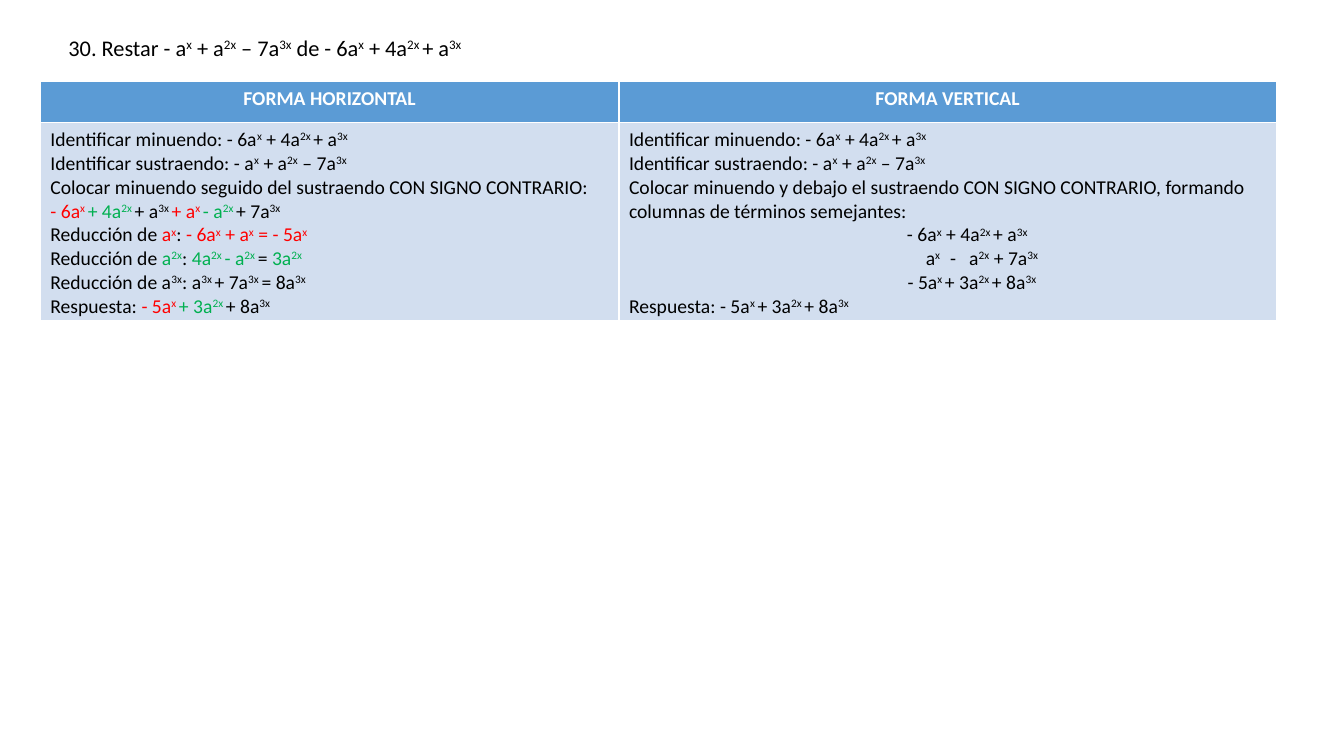
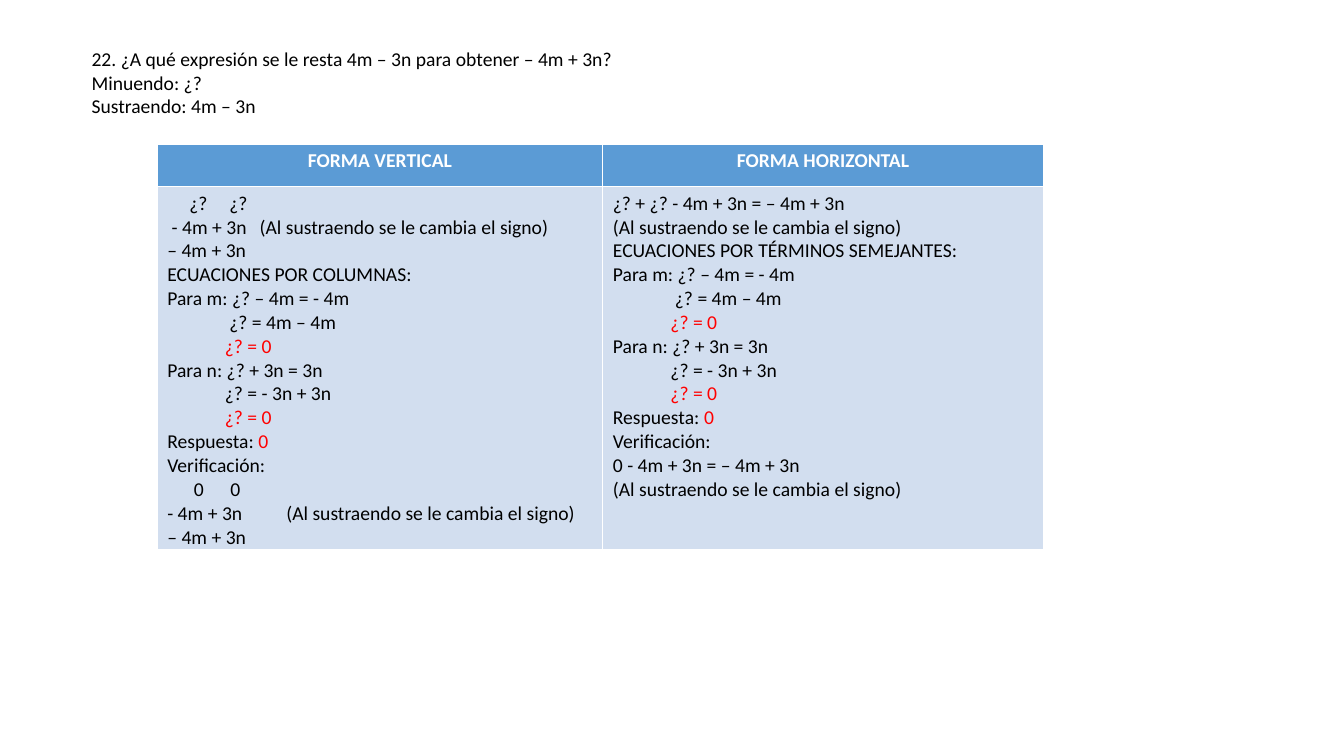
from pptx import Presentation as Deck
from pptx.util import Pt
from pptx.dml.color import RGBColor as Tone
from pptx.enum.text import PP_ALIGN as Align, MSO_AUTO_SIZE as Fit
from lxml.etree import SubElement as Sub
from pptx.oxml.ns import qn

BLACK = Tone(0, 0, 0)
WHITE = Tone(255, 255, 255)
RED = Tone(255, 0, 0)
GREEN = Tone(0, 0xB0, 0x50)
BLUE = Tone(0x5B, 0x9B, 0xD5)
PALE = Tone(0xD2, 0xDE, 0xEF)
FACE = "Calibri"
HUES = {"[": RED, "<": GREEN, "|": BLACK}
LIFTS = {"^": True, "_": False}


def cut(text, hue):
    part, lift = "", False
    for char in text:
        if char not in HUES and char not in LIFTS:
            part += char
            continue
        if part:
            yield part, hue, lift
        part = ""
        hue = HUES.get(char, hue)
        lift = LIFTS.get(char, lift)
    if part:
        yield part, hue, lift


class Sheet:
    def __init__(self):
        self.deck = Deck()
        self.deck.slide_width = Pt(960)
        self.deck.slide_height = Pt(540)

    def turn(self):
        self.slide = self.deck.slides.add_slide(self.deck.slide_layouts[6])

    def fill_text(self, frame, lines, size=14, hue=BLACK, bold=False, align=Align.LEFT):
        for i, line in enumerate(lines):
            text, *stops = (line,) if isinstance(line, str) else line
            para = frame.add_paragraph() if i else frame.paragraphs[0]
            para.alignment = align
            if stops:
                tabs = Sub(para._p.get_or_add_pPr(), qn("a:tabLst"))
                for stop in stops:
                    Sub(tabs, qn("a:tab"), pos=str(Pt(stop)), algn="l")
            for part, tint, lift in cut(text, hue):
                run = para.add_run()
                run.text = part
                run.font.name = FACE
                run.font.size = Pt(size)
                run.font.bold = bold
                run.font.color.rgb = tint
                if lift:
                    run._r.get_or_add_rPr().set("baseline", "30000")

    def title(self, place, lines, size=14, wrap=True):
        frame = self.slide.shapes.add_textbox(*map(Pt, place)).text_frame
        frame.word_wrap = wrap
        frame.auto_size = Fit.SHAPE_TO_FIT_TEXT
        self.fill_text(frame, lines, size)

    def table(self, left, top, wides, highs, heads, bodies):
        grid = self.slide.shapes.add_table(
            2, 2, Pt(left), Pt(top), Pt(sum(wides)), Pt(sum(highs))).table
        for row, high in zip(grid.rows, highs):
            row.height = Pt(high)
        for i, (wide, head, body) in enumerate(zip(wides, heads, bodies)):
            grid.columns[i].width = Pt(wide)
            self.cell(grid.cell(0, i), BLUE, [head],
                      hue=WHITE, bold=True, align=Align.CENTER)
            self.cell(grid.cell(1, i), PALE, body)

    def cell(self, cell, fill, lines, **style):
        cell.fill.solid()
        cell.fill.fore_color.rgb = fill
        cell.margin_bottom = 0
        self.fill_text(cell.text_frame, lines, **style)


ACROSS, DOWN = "FORMA HORIZONTAL", "FORMA VERTICAL"
MINUS = "- 6a^x_ + 4a^2x _+ a^3x"
TAKEN = "- a^x_ + a^2x_ – 7a^3x"
RESULT = "- 5a^x _+ 3a^2x _+ 8a^3x"
TERMS = ["Identificar minuendo: " + MINUS, "Identificar sustraendo: " + TAKEN]
NOTE = "(Al sustraendo se le cambia el signo)"
STEPS = [
    "Para m: ¿? – 4m = - 4m",
    ("\t¿? = 4m – 4m", 44.3),
    ("\t[¿? = 0", 41.1),
    "Para n: ¿? + 3n = 3n",
    ("\t¿? = - 3n + 3n", 41.1),
    ("\t[¿? = 0", 41.1),
    "Respuesta: [0",
    "Verificación:",
]


def main():
    sheet = Sheet()

    sheet.turn()
    sheet.title((41.8, 20.9, 305.3, 26.6),
                [f"30. Restar {TAKEN}_ de {MINUS}"], 16, False)
    sheet.table(28.8, 58.3, (413.3, 469.6), (29.5, 141), (ACROSS, DOWN), (
        TERMS + [
            "Colocar minuendo seguido del sustraendo CON SIGNO CONTRARIO:",
            "[- 6a^x <_+ 4a^2x |_+ a^3x [_+ a^x <_- a^2x |_+ 7a^3x",
            "Reducción de [a^x|_: [- 6a^x_ + a^x_ = - 5a^x",
            "Reducción de <a^2x|_: <4a^2x _- a^2x |_= <3a^2x",
            "Reducción de a^3x_: a^3x _+ 7a^3x _= 8a^3x",
            "Respuesta: [- 5a^x <_+ 3a^2x |_+ 8a^3x",
        ],
        TERMS + [
            "Colocar minuendo y debajo el sustraendo CON SIGNO CONTRARIO, "
            "formando columnas de términos semejantes:",
            ("\t" + MINUS, 198.5),
            ("\ta^x_\t-\ta^2x_ + 7a^3x", 212, 229.3, 243),
            ("\t" + RESULT, 199),
            "Respuesta: " + RESULT,
        ]))

    sheet.turn()
    sheet.title((58.3, 30.2, 480.2, 58.3), [
        "22. ¿A qué expresión se le resta 4m – 3n para obtener – 4m + 3n?",
        "Minuendo: ¿?",
        "Sustraendo: 4m – 3n",
    ])
    sheet.table(112.3, 103, (318.3, 314.6), (30.2, 259.2), (DOWN, ACROSS), (
        [
            ("\t¿?\t¿?", 15.8, 44.3),
            (" - 4m + 3n\t" + NOTE, 66),
            "– 4m + 3n",
            "ECUACIONES POR COLUMNAS:",
            *STEPS,
            ("\t0\t0", 19, 45),
            ("- 4m + 3n\t" + NOTE, 85),
            "– 4m + 3n",
        ],
        [
            "¿? + ¿? - 4m + 3n = – 4m + 3n",
            NOTE,
            "ECUACIONES POR TÉRMINOS SEMEJANTES:",
            *STEPS,
            "0 - 4m + 3n = – 4m + 3n",
            NOTE,
        ]))

    sheet.deck.save("out.pptx")


if __name__ == "__main__":
    main()
